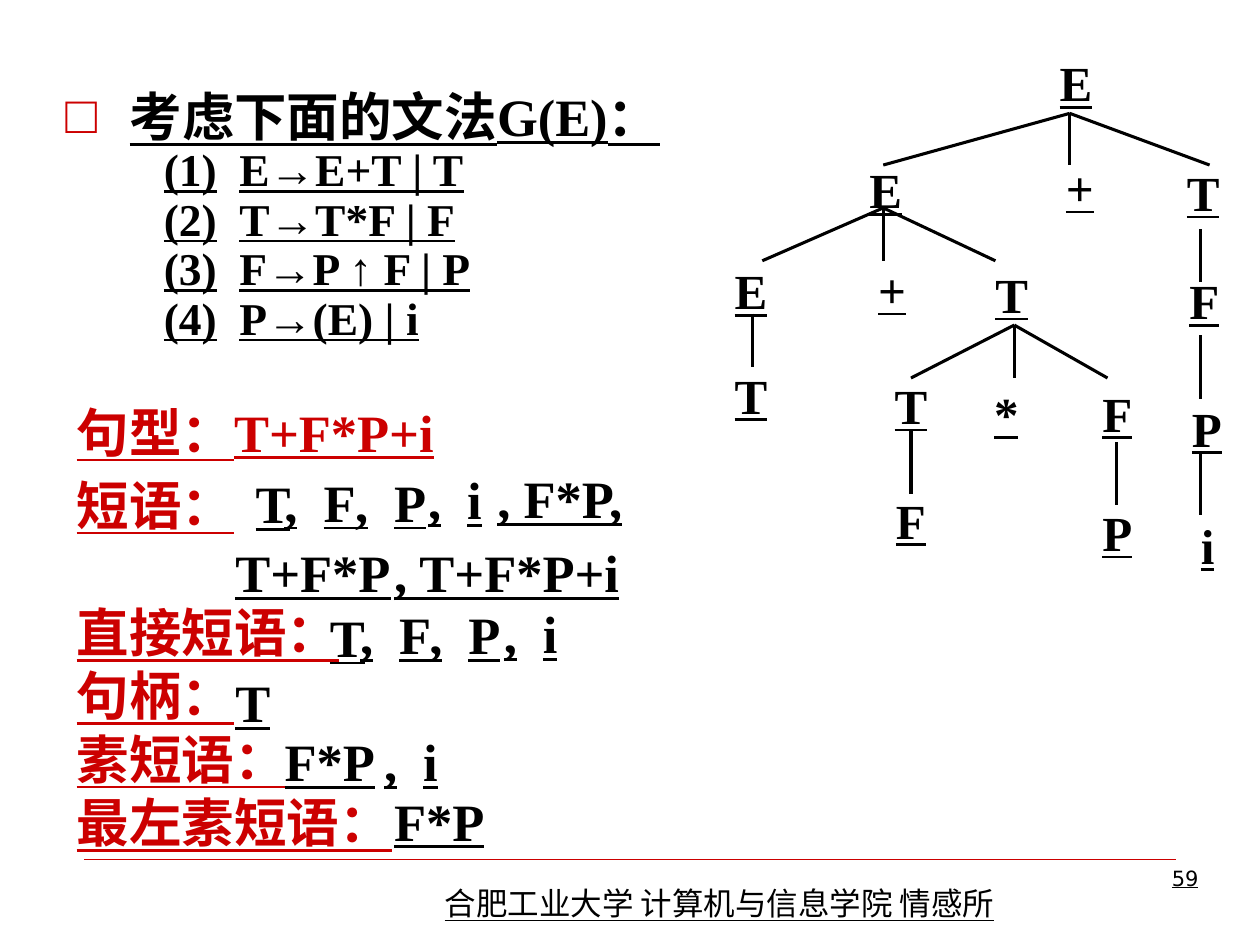
from lxml import etree
from pptx import Presentation
from pptx.dml.color import RGBColor
from pptx.enum.shapes import MSO_CONNECTOR
from pptx.enum.text import PP_ALIGN
from pptx.oxml.ns import qn
from pptx.util import Inches, Pt

STRAIGHT = MSO_CONNECTOR.STRAIGHT
RIGHT = PP_ALIGN.RIGHT
COLORS = {"ink": "000000", "accent": "CC0000"}
SERIF, CJK, SANS, BULLET_FONT = "Times New Roman", "Noto Sans CJK SC", "DejaVu Sans", "Arial"
LETTER_WIDTHS = {"E": 0.26, "T": 0.26, "F": 0.24, "P": 0.24, "+": 0.22, "*": 0.19, "i": 0.11}


def add_text(page, box, lines, size, color="ink", font=SERIF, bold=True,
             wrap=True, insets=(0.1, 0.05, 0.1), line_height=None, tabs=()):
    """Add underlined lines in box (left, top, width, height); insets are left, top, right."""
    shape = page.shapes.add_textbox(*map(Inches, box))
    frame = shape.text_frame
    frame.word_wrap = wrap
    frame.margin_left, frame.margin_top, frame.margin_right = map(Inches, insets)
    frame.margin_bottom = frame.margin_top
    frame.text = "\n".join(lines)
    for para in frame.paragraphs:
        if line_height:
            para.line_spacing = Pt(line_height)
        if tabs:
            add_tabs(para, tabs)
        for span in para.runs:
            span.font.name = font
            span.font.size = Pt(size)
            span.font.bold = bold
            span.font.underline = True
            span.font.color.rgb = RGBColor.from_string(COLORS[color])
            latin = span.font._element.find(qn("a:latin"))
            east_asian = etree.Element(qn("a:ea"), typeface=CJK)
            latin.addnext(east_asian)
    return frame


def add_tabs(para, stops):
    tab_list = etree.SubElement(para._p.get_or_add_pPr(), qn("a:tabLst"))
    for stop in stops:
        etree.SubElement(tab_list, qn("a:tab"), pos=str(Inches(stop)), algn="l")


def add_bullet(para, char, color, indent):
    properties = para._p.get_or_add_pPr()
    properties.set("marL", str(Inches(indent)))
    properties.set("indent", str(-Inches(indent)))
    bullet_color = etree.SubElement(properties, qn("a:buClr"))
    etree.SubElement(bullet_color, qn("a:srgbClr"), val=COLORS[color])
    etree.SubElement(properties, qn("a:buFont"), typeface=BULLET_FONT)
    etree.SubElement(properties, qn("a:buChar"), char=char)


def add_line(page, start, end, width, color="ink"):
    line = page.shapes.add_connector(STRAIGHT, *map(Inches, (*start, *end)))
    line.line.width = Pt(width)
    line.line.color.rgb = RGBColor.from_string(COLORS[color])
    etree.SubElement(line._element.spPr, qn("a:effectLst"))


def add_grammar(page, left, top):
    heading = add_text(page, (left, top, 5.4, 0.55), ["考虑下面的文法G(E)："], 30,
                       line_height=32.2)
    add_bullet(heading.paragraphs[0], "□", "accent", 0.51)
    rules = ["E→E+T | T", "T→T*F | F", "F→P ↑ F | P", "P→(E) | i"]
    lines = [f"\t({number})\t{rule}" for number, rule in enumerate(rules, 1)]
    add_text(page, (left + 0.61, top + 0.49, 4.2, 1.6), lines, 26, insets=(0, 0, 0),
             line_height=28.3, tabs=(0.27, 0.87))


def add_syntax_tree(page, left, top):
    nodes = [
        ("E", 2.58, 0), ("E", 1.07, 0.85), ("+", 2.63, 0.83), ("T", 3.59, 0.87),
        ("E", 0, 1.65), ("+", 1.14, 1.64), ("T", 2.07, 1.68), ("F", 3.61, 1.73),
        ("T", 0, 2.48), ("T", 1.27, 2.56), ("*", 2.06, 2.62), ("F", 2.92, 2.62),
        ("P", 3.63, 2.74), ("F", 1.28, 3.47), ("P", 2.92, 3.57), ("i", 3.7, 3.67),
    ]
    # Each fan: apex x, apex y, bottom y, x of each branch end.
    fans = [
        (2.66, 0.48, 0.89, (1.18, 2.66, 3.77)),
        (1.18, 1.23, 1.65, (0.22, 1.18, 2.07)),
        (2.22, 2.16, 2.58, (1.4, 2.22, 2.96)),
        (0.14, 2.07, 2.49, (0.14,)),
        (1.4, 3, 3.5, (1.4,)),
        (3.03, 3.09, 3.59, (3.03,)),
        (3.7, 1.4, 1.82, (3.7,)),
        (3.7, 2.24, 2.75, (3.7,)),
        (3.7, 3.17, 3.67, (3.7,)),
    ]
    for symbol, x, y in nodes:
        add_text(page, (left + x, top + y, LETTER_WIDTHS[symbol], 0.47), [symbol], 28,
                 wrap=False, insets=(0, 0, 0))
    for apex_x, apex_y, bottom, ends in fans:
        for end_x in ends:
            add_line(page, (left + apex_x, top + apex_y), (left + end_x, top + bottom), 1.75)


def add_phrases(page, left, top):
    """Add the red labels and the answers set beside them."""
    add_text(page, (left, top, 4.92, 0.67), ["句型：T+F*P+i"], 30, "accent", line_height=36.2)
    labels = ["短语：", "直接短语：", "句柄：", "素短语：", "最左素短语："]
    frame = add_text(page, (left, top + 0.58, 2.75, 2.75), labels, 30, "accent",
                     line_height=36.2)
    frame.paragraphs[1].space_before = Pt(36.5)
    answers = [
        ("T", 1.42, 0.57, 0.48), (",\tF", 1.65, 0.56, 0.76), (",\tP", 2.21, 0.56, 0.76),
        (",\ti", 2.79, 0.54, 0.71), (", F*P,", 3.34, 0.53, 1.23),
        ("T+F*P", 1.26, 1.12, 1.43), (", T+F*P+i", 2.52, 1.12, 1.99),
        ("T", 2.01, 1.63, 0.48), (",\tF", 2.25, 1.61, 0.76), (",\tP", 2.8, 1.61, 0.76),
        (",\ti", 3.39, 1.6, 0.71),
        ("T", 1.26, 2.15, 0.48),
        ("F*P", 1.65, 2.62, 0.91), (",\ti", 2.44, 2.62, 0.71),
        ("F*P", 2.52, 3.09, 0.91),
    ]
    for text, x, y, width in answers:
        add_text(page, (left + x, top + y, width, 0.6), [text], 30,
                 insets=(0.1, 0.05, 0), tabs=(0.31,) if "\t" in text else ())


def add_footer(page, left, top):
    add_line(page, (left, top), (left + 8.66, top), 0.25, "accent")
    add_text(page, (left + 2.76, top + 0.15, 4.8, 0.4),
             ["合肥工业大学 计算机与信息学院 情感所"], 18, font=CJK, bold=False)
    number = add_text(page, (left + 6.77, top, 2.17, 0.52), ["59"], 12, font=SANS, bold=False)
    number.paragraphs[0].alignment = RIGHT


def main():
    deck = Presentation()
    deck.slide_width, deck.slide_height = Inches(10), Inches(7.5)
    page = deck.slides.add_slide(deck.slide_layouts[6])
    add_footer(page, 0.67, 6.82)
    add_grammar(page, 0.42, 0.67)
    add_syntax_tree(page, 5.83, 0.42)
    add_phrases(page, 0.51, 3.12)
    deck.save("out.pptx")


if __name__ == "__main__":
    main()
